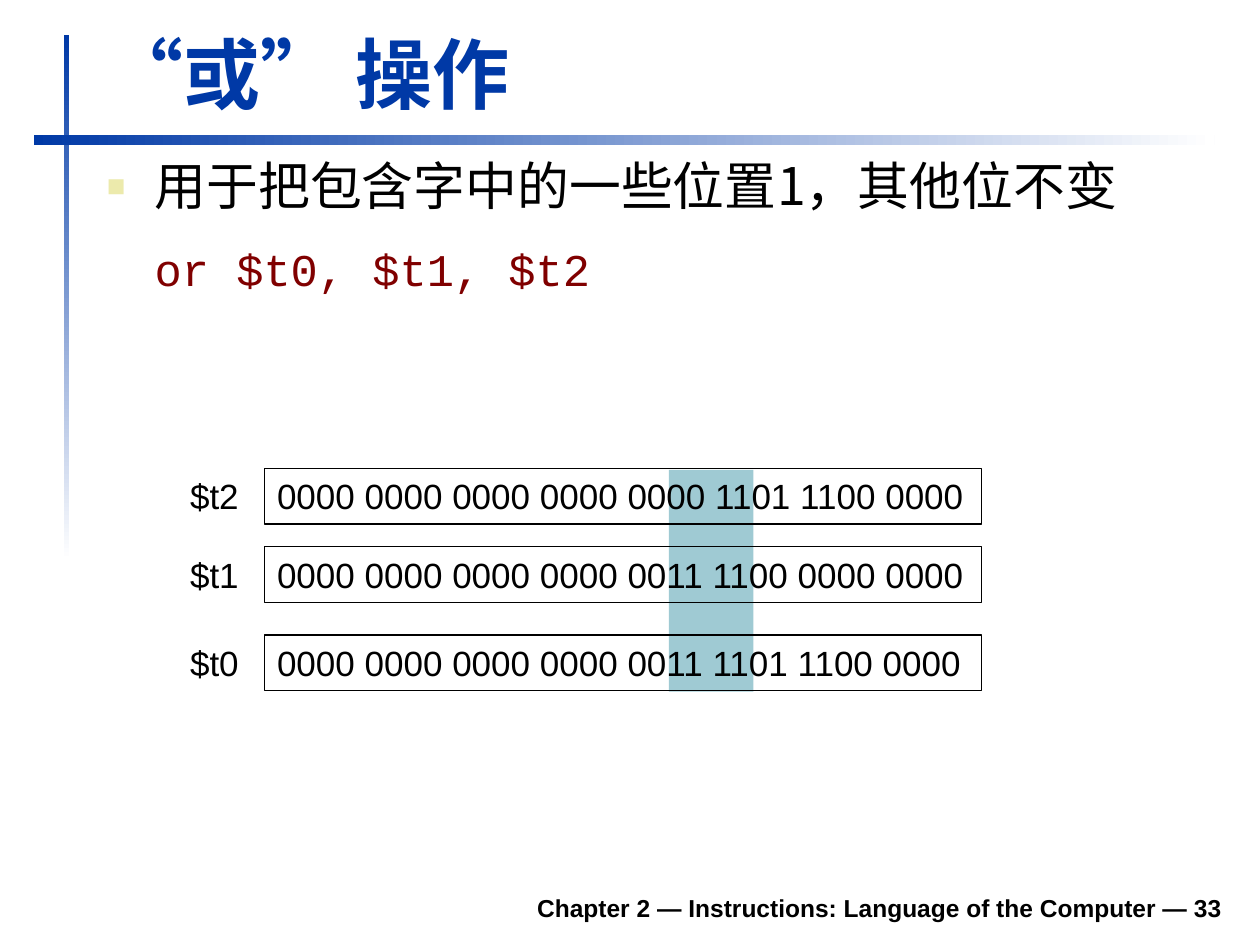
from lxml import etree
from pptx import Presentation
from pptx import util as u
from pptx.dml.color import RGBColor
from pptx.enum import shapes, text
from pptx.oxml import ns


def rgb(value):
    return RGBColor.from_string(value)


def add(parent, tag, **attrs):
    return etree.SubElement(parent, ns.qn(tag), **attrs)


class Deck:
    blue, black, maroon = "0039A6", "000000", "800000"
    teal, cream, white = "9FCAD3", "ECEAAC", "FFFFFF"
    latin, code, cjk = "Arial", "Courier New", "Noto Sans CJK SC"

    def __init__(self):
        self.prs = Presentation()
        self.prs.slide_width, self.prs.slide_height = u.Inches(10), u.Inches(7.5)
        self.s = self.prs.slides.add_slide(self.prs.slide_layouts[6])

    def rect(self, *box):
        sp = self.s.shapes.add_shape(
            shapes.MSO_SHAPE.RECTANGLE, *(u.Inches(v) for v in box))
        sp.shadow.inherit = False
        sp.line.fill.background()
        return sp

    def block(self, *box):
        sp = self.rect(*box)
        sp.fill.solid()
        sp.fill.fore_color.rgb = rgb(self.teal)

    def fade(self, *box, angle):
        sp = self.rect(*box)
        sp.fill.gradient()
        sp.fill.gradient_angle = angle
        for stop, color, pos in zip(
                sp.fill.gradient_stops, (self.blue, self.white), (0, 1)):
            stop.color.rgb = rgb(color)
            stop.position = pos

    def style(self, p, size, font=latin, color=black, bold=False):
        for r in p.runs:
            r.font.size, r.font.name, r.font.bold = u.Pt(size), font, bold
            r.font.color.rgb = rgb(color)
            add(r.font._element, "a:ea", typeface=self.cjk)

    def textbox(self, *box, anchor=text.MSO_ANCHOR.TOP):
        tf = self.s.shapes.add_textbox(*(u.Inches(v) for v in box)).text_frame
        tf.word_wrap = True
        tf.vertical_anchor = anchor
        return tf

    def title(self, words):
        tf = self.textbox(0.75, 0.16, 9.03, 0.83, anchor=text.MSO_ANCHOR.BOTTOM)
        tf.text = words
        self.style(tf.paragraphs[0], 44, color=self.blue, bold=True)

    def body(self, point, instruction):
        tf = self.textbox(0.75, 1.23, 9.04, 1.73)
        p = tf.paragraphs[0]
        p.text = point
        pPr = p._p.get_or_add_pPr()
        pPr.set("marL", str(u.Inches(0.38)))
        pPr.set("indent", str(u.Inches(-0.38)))
        add(add(pPr, "a:buClr"), "a:srgbClr", val=self.cream)
        add(pPr, "a:buSzPct", val="60000")
        add(pPr, "a:buFont", typeface=self.latin)
        add(pPr, "a:buChar", char="■")
        p.line_spacing = 0.9
        self.style(p, 29.6, self.cjk)

        p = tf.add_paragraph()
        p.text = instruction
        p._p.get_or_add_pPr().set("marL", str(u.Inches(0.38)))
        p.line_spacing = 0.9
        p.space_before, p.space_after = u.Pt(17.5), u.Pt(10.5)
        self.style(p, 25.9, self.code, self.maroon)

    def register(self, top, name, bits):
        sp = self.rect(2.1, top, 5.69, 0.44)
        sp.fill.background()
        sp.line.color.rgb = rgb(self.black)
        sp.line.width = u.Pt(0.75)
        label = self.textbox(1.41, top, 0.58, 0.44)
        label.margin_right = 0
        for tf, words in ((sp.text_frame, bits), (label, name)):
            tf.text = words
            tf.word_wrap = False
            tf.vertical_anchor = text.MSO_ANCHOR.TOP
            tf.paragraphs[0].alignment = text.PP_ALIGN.LEFT
            self.style(tf.paragraphs[0], 20)

    def footer(self, words):
        tf = self.textbox(1.85, 6.98, 7.95, 0.39, anchor=text.MSO_ANCHOR.BOTTOM)
        tf.text = words
        tf.paragraphs[0].alignment = text.PP_ALIGN.RIGHT
        self.style(tf.paragraphs[0], 14, bold=True)


def main():
    deck = Deck()
    deck.fade(0.51, 0.28, 0.04, 4.17, angle=270)
    deck.fade(0.27, 1.07, 9.37, 0.08, angle=0)
    deck.footer("Chapter 2 — Instructions: Language of the Computer — 33")
    deck.block(5.31, 3.73, 0.67, 1.76)
    deck.title("“或” 操作")
    deck.body("用于把包含字中的一些位置1，其他位不变", "or $t0, $t1, $t2")
    for top, name, bits in (
        (3.72, "$t2", "0000 0000 0000 0000 0000 1101 1100 0000"),
        (4.34, "$t1", "0000 0000 0000 0000 0011 1100 0000 0000"),
        (5.04, "$t0", "0000 0000 0000 0000 0011 1101 1100 0000"),
    ):
        deck.register(top, name, bits)
    deck.prs.save("out.pptx")


if __name__ == "__main__":
    main()
